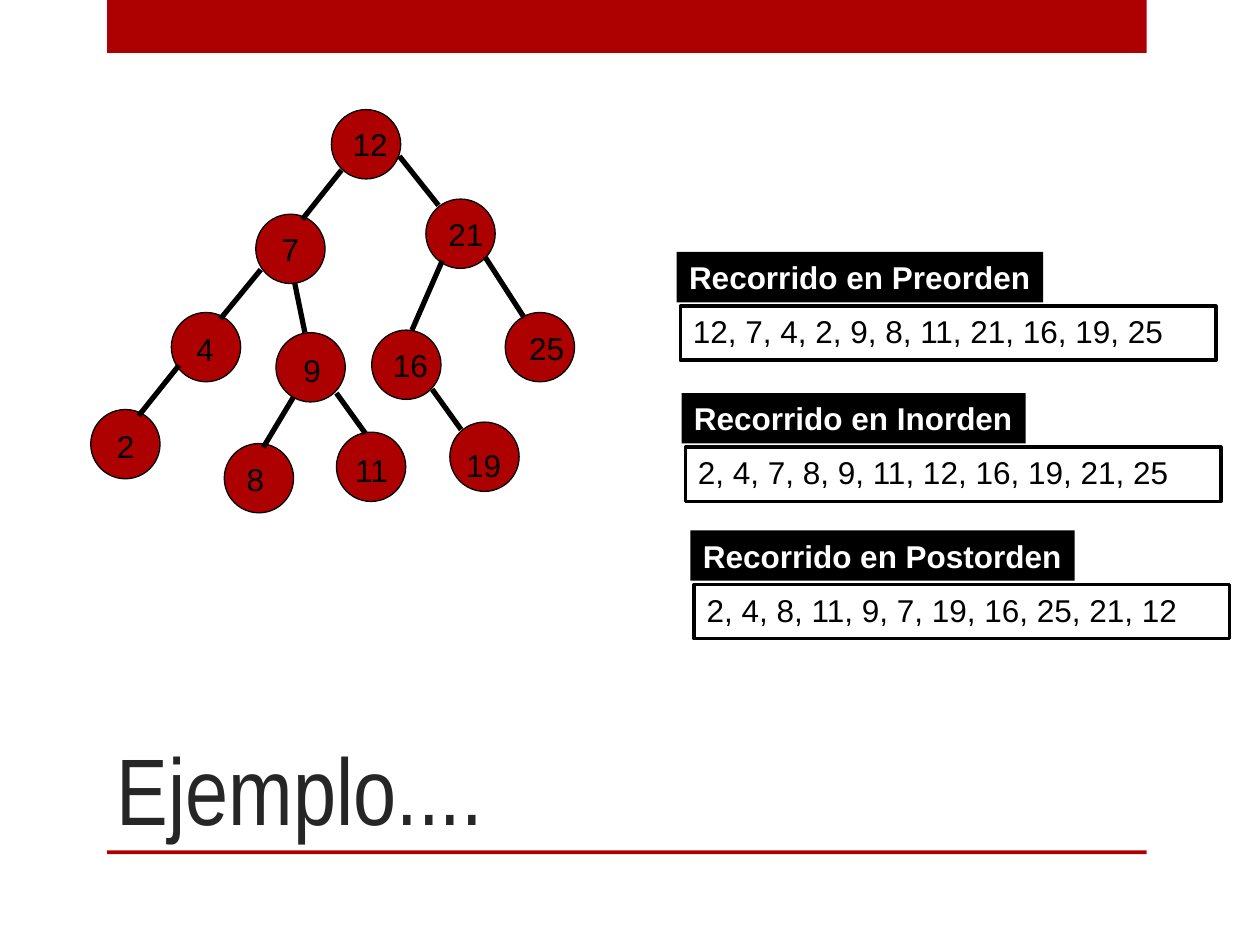
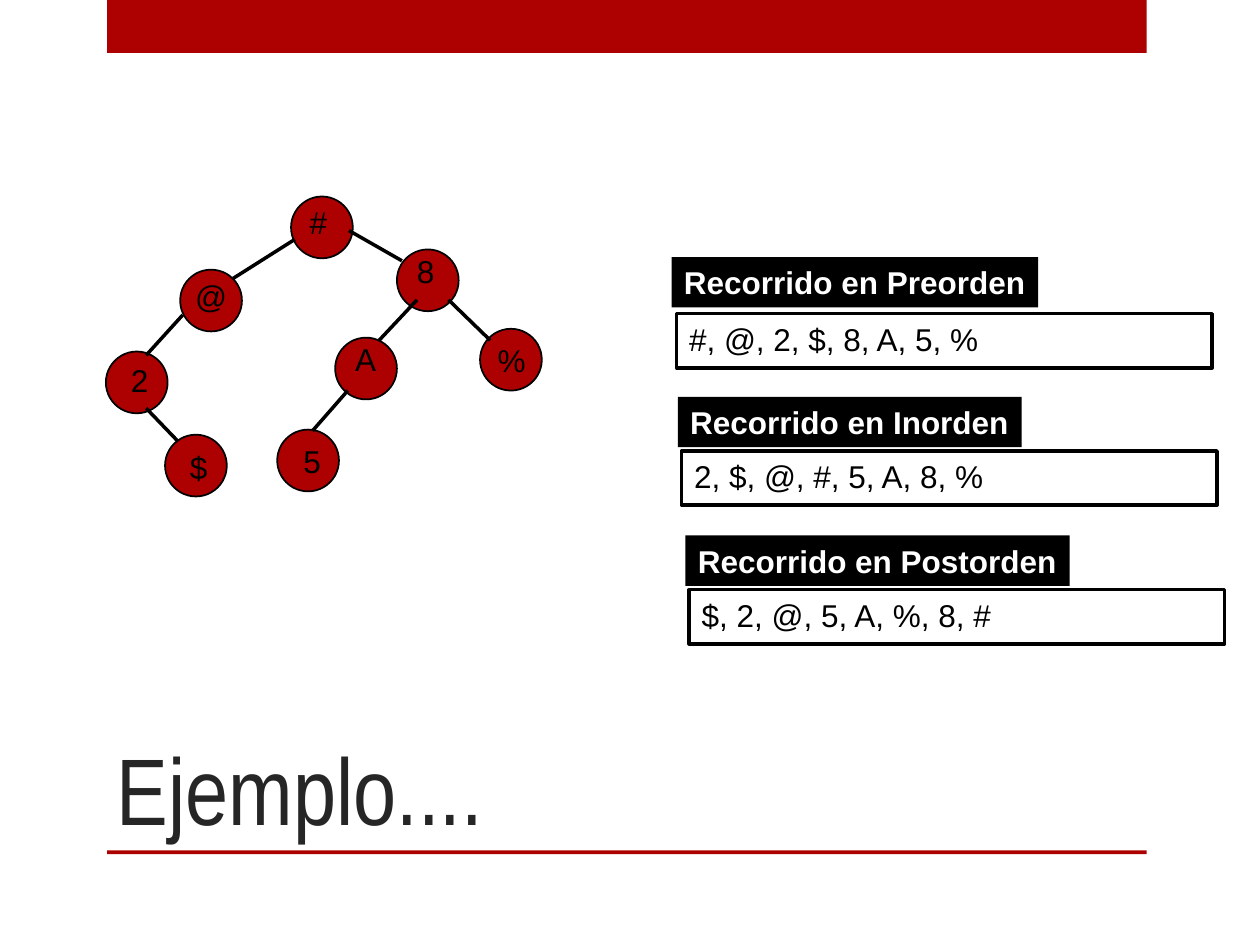
from lxml import etree
from pptx import Presentation
from pptx.dml.color import RGBColor
from pptx.enum.shapes import MSO_CONNECTOR, MSO_SHAPE
from pptx.enum.text import MSO_ANCHOR, PP_ALIGN
from pptx.oxml.ns import qn
from pptx.util import Inches, Pt

RECT, OVAL = MSO_SHAPE.RECTANGLE, MSO_SHAPE.OVAL
STRAIGHT = MSO_CONNECTOR.STRAIGHT
TOP, MIDDLE, BOTTOM = MSO_ANCHOR.TOP, MSO_ANCHOR.MIDDLE, MSO_ANCHOR.BOTTOM
LEFT, CENTER = PP_ALIGN.LEFT, PP_ALIGN.CENTER

# Shared style
RED, BLACK, WHITE, DARK = "AD0101", "000000", "FFFFFF", "262626"
BODY_FONT, TITLE_FONT = "Arial", "Arial Narrow"
HEADING_WIDTHS = {"Preorden": 2.91, "Inorden": 2.73, "Postorden": 3.05}


def rgb(color):
    return RGBColor.from_string(color)


class Deck:
    def __init__(self):
        self.prs = Presentation()
        self.prs.slide_width, self.prs.slide_height = Inches(10), Inches(7.5)
        self.slide = None

    def new_slide(self, title):
        self.slide = self.prs.slides.add_slide(self.prs.slide_layouts[6])
        # Top band, rule under the title, title
        self.shape(RECT, 0.85, 0, 8.25, 0.42, RED)
        self.shape(RECT, 0.85, 6.75, 8.25, 0.03, RED)
        self.text(title, 0.83, 5, 7.42, 1.75, size=54, font=TITLE_FONT,
                  color=DARK, anchor=BOTTOM)

    def shape(self, kind, x, y, w, h, fill=None, line_width=None):
        shape = self.slide.shapes.add_shape(
            kind, Inches(x), Inches(y), Inches(w), Inches(h))
        shape.shadow.inherit = False
        if fill:
            shape.fill.solid()
            shape.fill.fore_color.rgb = rgb(fill)
        else:
            shape.fill.background()
        if line_width:
            shape.line.color.rgb = rgb(BLACK)
            shape.line.width = Pt(line_width)
        else:
            shape.line.fill.background()
        return shape

    def set_text(self, shape, words, size=18, font=BODY_FONT, color=BLACK,
                 bold=False, align=LEFT, anchor=TOP, wrap=True):
        frame = shape.text_frame
        frame.text = words
        frame.word_wrap = wrap
        frame.vertical_anchor = anchor
        paragraph = frame.paragraphs[0]
        paragraph.alignment = align
        run_font = paragraph.runs[0].font
        run_font.name, run_font.size, run_font.bold = font, Pt(size), bold
        run_font.color.rgb = rgb(color)

    def text(self, words, x, y, w, h, **style):
        box = self.slide.shapes.add_textbox(
            Inches(x), Inches(y), Inches(w), Inches(h))
        self.set_text(box, words, **style)

    def edge(self, x1, y1, x2, y2, width):
        edge = self.slide.shapes.add_connector(
            STRAIGHT, Inches(x1), Inches(y1), Inches(x2), Inches(y2))
        edge.line.color.rgb = rgb(BLACK)
        edge.line.width = Pt(width)
        etree.SubElement(edge._element.spPr, qn("a:effectLst"))

    def tree(self, nodes, edges, diameter, outline, edge_width):
        """Each node is (key, x, y, label box); without a box the key is centred."""
        for key, x, y, label in nodes:
            circle = self.shape(OVAL, x, y, diameter, diameter, RED, outline)
            if label is None:
                self.set_text(circle, key, align=CENTER, anchor=MIDDLE, wrap=False)
        for ends in edges:
            self.edge(*ends, edge_width)
        for key, _, _, label in nodes:
            if label:
                label_x, label_y, label_width = label
                self.text(key, label_x, label_y, label_width, 0.4)

    def traversal(self, order, keys, x, y, dx=0.03, dy=0.43):
        result = self.shape(RECT, x + dx, y + dy, 4.25, 0.43, line_width=2)
        self.set_text(result, keys)
        heading = self.shape(RECT, x, y, HEADING_WIDTHS[order], 0.4, BLACK)
        self.set_text(heading, f"Recorrido en {order}", color=WHITE, bold=True,
                      wrap=False)


# Slide 1: tree of numbers
def numeric_tree(deck):
    deck.new_slide("Ejemplo....")
    nodes = [
        ("12", 2.63, 0.87, (2.7, 0.94, 0.55)),
        ("7", 2.03, 1.7, None),
        ("21", 3.38, 1.58, (3.46, 1.66, 0.71)),
        ("4", 1.36, 2.48, (1.46, 2.57, 0.71)),
        ("9", 2.19, 2.64, (2.31, 2.74, 0.63)),
        ("16", 2.95, 2.62, (3.02, 2.7, 0.63)),
        ("25", 4.01, 2.48, (4.1, 2.56, 0.55)),
        ("2", 0.72, 3.25, (0.83, 3.34, 0.47)),
        ("8", 1.78, 3.52, (1.86, 3.6, 0.71)),
        ("11", 2.67, 3.43, (2.72, 3.53, 0.69)),
        ("19", 3.57, 3.35, (3.6, 3.49, 0.79)),
    ]
    edges = [
        (2.71, 1.35, 2.4, 1.74), (3.17, 1.24, 3.48, 1.63),
        (2.07, 2.14, 1.75, 2.53), (2.34, 2.25, 2.42, 2.64),
        (3.51, 2.07, 3.27, 2.62), (3.85, 2.04, 4.16, 2.52),
        (1.42, 2.9, 1.1, 3.3), (2.33, 3.15, 2.09, 3.55),
        (2.67, 3.12, 2.9, 3.44), (3.43, 3.09, 3.66, 3.41),
    ]
    deck.tree(nodes, edges, diameter=0.55, outline=0.75, edge_width=3)
    deck.traversal("Preorden", "12, 7, 4, 2, 9, 8, 11, 21, 16, 19, 25", 5.37, 2)
    deck.traversal("Inorden", "2, 4, 7, 8, 9, 11, 12, 16, 19, 21, 25", 5.41, 3.12)
    deck.traversal("Postorden", "2, 4, 8, 11, 9, 7, 19, 16, 25, 21, 12", 5.48, 4.21)


# Slide 2: tree of symbols
def symbol_tree(deck):
    deck.new_slide("Ejemplo....")
    nodes = [
        ("#", 2.31, 1.56, (2.36, 1.56, 0.34)),
        ("@", 1.43, 2.14, (1.45, 2.15, 0.45)),
        ("8", 3.15, 1.98, (3.21, 1.95, 0.34)),
        ("2", 0.84, 2.79, (0.94, 2.82, 0.34)),
        ("A", 2.66, 2.68, (2.72, 2.65, 0.37)),
        ("%", 3.81, 2.61, (3.85, 2.66, 0.42)),
        ("$", 1.31, 3.45, (1.41, 3.51, 0.34)),
        ("5", 2.2, 3.41, (2.31, 3.46, 0.34)),
    ]
    edges = [
        (2.34, 1.9, 1.85, 2.21), (2.77, 1.83, 3.19, 2.07),
        (1.45, 2.5, 1.16, 2.82), (3.31, 2.38, 3.01, 2.7),
        (3.56, 2.38, 3.89, 2.7), (1.16, 3.24, 1.41, 3.5),
        (2.76, 3.1, 2.48, 3.42),
    ]
    deck.tree(nodes, edges, diameter=0.49, outline=1, edge_width=2)
    deck.traversal("Preorden", "#, @, 2, $, 8, A, 5, %", 5.33, 2.04, 0.04, 0.45)
    deck.traversal("Inorden", "2, $, @, #, 5, A, 8, %", 5.38, 3.15)
    deck.traversal("Postorden", "$, 2, @, 5, A, %, 8, #", 5.44, 4.25)


def main():
    deck = Deck()
    numeric_tree(deck)
    symbol_tree(deck)
    deck.prs.save("out.pptx")


if __name__ == "__main__":
    main()
